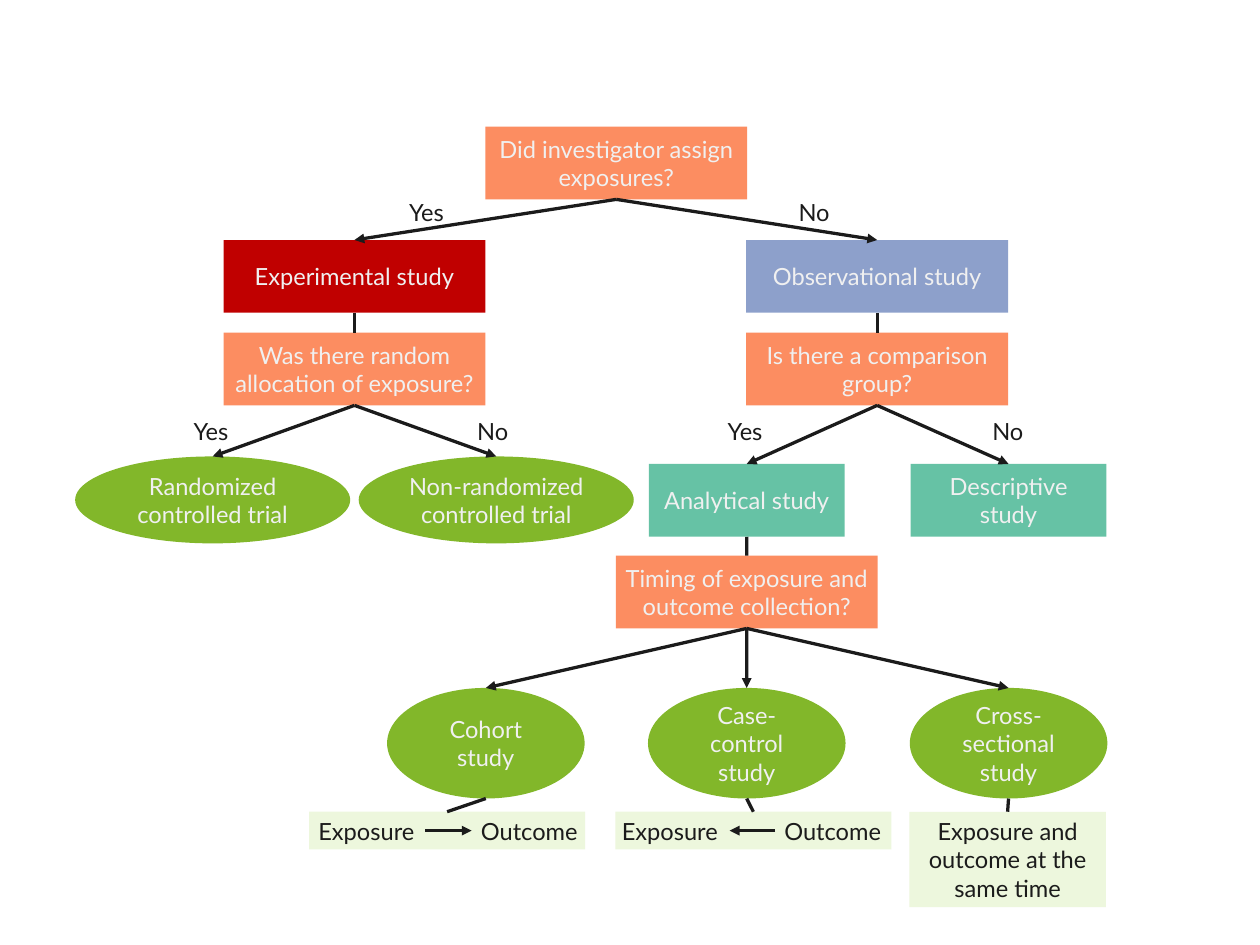
"""Decision tree for choosing an epidemiological study design."""
from dataclasses import dataclass

from lxml import etree
from pptx import Presentation
from pptx.dml.color import RGBColor
from pptx.enum import shapes as kinds, text as texts
from pptx.oxml import ns
from pptx.util import Inches, Pt

INK = RGBColor(0x1B, 0x1B, 0x1B)
PALE = RGBColor(0xF0, 0xF0, 0xF0)
ORANGE = RGBColor(0xFC, 0x8D, 0x61)
RED = RGBColor(0xC0, 0x00, 0x00)
BLUE = RGBColor(0x8D, 0xA0, 0xCB)
TEAL = RGBColor(0x66, 0xC2, 0xA5)
GREEN = RGBColor(0x82, 0xB7, 0x2A)
MINT = RGBColor(0xED, 0xF7, 0xDD)
RECTANGLE = kinds.MSO_SHAPE.RECTANGLE
OVAL = kinds.MSO_SHAPE.OVAL
TOP_SITE = 0
BOTTOM_SITE = {RECTANGLE: 2, OVAL: 4}
LEFT, MIDDLE, RIGHT = 3.75, 6.52, 9.28
COHORT, CASE, CROSS = 5.14, 7.9, 10.67
TIMING_TOP = 8.59
LABEL_HEIGHT = 0.4


@dataclass(frozen=True)
class Style:
    width: float
    height: float
    fill: RGBColor
    form: kinds.MSO_SHAPE = RECTANGLE
    ink: RGBColor = PALE


@dataclass(frozen=True)
class Node:
    key: str
    words: str
    center: float
    top: float
    style: Style


@dataclass(frozen=True)
class Link:
    source: str
    target: str
    arrow: bool = True


@dataclass(frozen=True)
class Label:
    words: str
    left: float
    top: float


QUESTION = Style(2.77, 0.77, ORANGE)
EXPERIMENT = Style(2.77, 0.77, RED)
OBSERVATION = Style(2.77, 0.77, BLUE)
BRANCH = Style(2.07, 0.77, TEAL)
TRIAL = Style(2.91, 0.92, GREEN, OVAL)
DESIGN = Style(2.09, 1.17, GREEN, OVAL)
STRIP = Style(2.92, 0.4, MINT, ink=INK)
NOTE = Style(2.08, 1.01, MINT, ink=INK)

NODES = [
    Node("assign", "Did investigator assign exposures?", MIDDLE, 1.34, QUESTION),
    Node("experimental", "Experimental study", LEFT, 2.54, EXPERIMENT),
    Node("observational", "Observational study", RIGHT, 2.54, OBSERVATION),
    Node("random", "Was there random allocation of exposure?", LEFT, 3.52, QUESTION),
    Node("comparison", "Is there a comparison group?", RIGHT, 3.52, QUESTION),
    Node("randomized", "Randomized controlled trial", 2.25, 4.83, TRIAL),
    Node("nonrandomized", "Non-randomized controlled trial", 5.25, 4.83, TRIAL),
    Node("analytical", "Analytical study", CASE, 4.91, BRANCH),
    Node("descriptive", "Descriptive study", CROSS, 4.91, BRANCH),
    Node("timing", "Timing of exposure and outcome collection?", CASE, 5.88, QUESTION),
    Node("cohort", "Cohort study", COHORT, 7.28, DESIGN),
    Node("case", "Case-control study", CASE, 7.28, DESIGN),
    Node("cross", "Cross-sectional study", CROSS, 7.28, DESIGN),
    Node("forward", "", 4.73, TIMING_TOP, STRIP),
    Node("backward", "", 7.97, TIMING_TOP, STRIP),
    Node("same", "Exposure and outcome at the same time", 10.66, TIMING_TOP, NOTE),
]
LINKS = [
    Link("assign", "experimental"),
    Link("assign", "observational"),
    Link("experimental", "random", False),
    Link("observational", "comparison", False),
    Link("random", "randomized"),
    Link("random", "nonrandomized"),
    Link("comparison", "analytical"),
    Link("comparison", "descriptive"),
    Link("analytical", "timing", False),
    Link("timing", "cohort"),
    Link("timing", "case"),
    Link("timing", "cross"),
    Link("cohort", "forward", False),
    Link("case", "backward", False),
    Link("cross", "same", False),
]
LABELS = [
    Label("Yes", 4.23, 2.04),
    Label("No", 8.35, 2.04),
    Label("Yes", 1.95, 4.36),
    Label("No", 4.95, 4.36),
    Label("Yes", 7.6, 4.36),
    Label("No", 10.4, 4.36),
    Label("Exposure", 3.27, TIMING_TOP),
    Label("Outcome", 4.99, TIMING_TOP),
    Label("Exposure", 6.48, TIMING_TOP),
    Label("Outcome", 8.2, TIMING_TOP),
]
LABEL_WIDTHS = {"Yes": 0.6, "No": 0.53, "Exposure": 1.24, "Outcome": 1.23}
TIMING_ARROWS = [(4.5, 4.99), (8.2, 7.72)]


def write(shape, words: str, ink: RGBColor, align, wrap: bool) -> None:
    frame = shape.text_frame
    layout = {"word_wrap": wrap, "vertical_anchor": texts.MSO_ANCHOR.MIDDLE}
    for name, value in layout.items():
        setattr(frame, name, value)
    para = frame.paragraphs[0]
    para.alignment = align
    span = para.add_run()
    span.text = words
    for name, value in {"name": "Lato", "size": Pt(18)}.items():
        setattr(span.font, name, value)
    span.font.color.rgb = ink


def draw_node(page, node: Node):
    style = node.style
    shape = page.shapes.add_shape(
        style.form, Inches(node.center - style.width / 2), Inches(node.top),
        Inches(style.width), Inches(style.height))
    shape.shadow.inherit = False
    shape.fill.solid()
    shape.fill.fore_color.rgb = style.fill
    shape.line.fill.background()
    if node.words:
        write(shape, node.words, style.ink, texts.PP_ALIGN.CENTER, True)
    return shape


def draw_line(page, arrow: bool, start: float = 0, end: float = 0, height: float = 0):
    line = page.shapes.add_connector(
        kinds.MSO_CONNECTOR.STRAIGHT, Inches(start), Inches(height),
        Inches(end), Inches(height))
    line.line.color.rgb = INK
    line.line.width = Pt(2.5)
    properties = line._element.spPr
    if arrow:
        etree.SubElement(properties.find(ns.qn("a:ln")), ns.qn("a:tailEnd"), type="triangle")
    etree.SubElement(properties, ns.qn("a:effectLst"))
    return line


def join(page, source, target, arrow: bool) -> None:
    line = draw_line(page, arrow)
    line.begin_connect(source, TOP_SITE)
    line.end_connect(target, TOP_SITE)
    start = next(line._element.iter(ns.qn("a:stCxn")))
    start.set("idx", str(BOTTOM_SITE[source.auto_shape_type]))
    line.begin_y = source.top + source.height


def draw_label(page, label: Label) -> None:
    box = page.shapes.add_textbox(
        Inches(label.left), Inches(label.top),
        Inches(LABEL_WIDTHS[label.words]), Inches(LABEL_HEIGHT))
    write(box, label.words, INK, texts.PP_ALIGN.LEFT, False)


def main() -> None:
    deck = Presentation()
    deck.slide_width, deck.slide_height = Inches(13.33), Inches(10)
    page = deck.slides.add_slide(deck.slide_layouts[6])
    drawn = {node.key: draw_node(page, node) for node in NODES}
    for link in LINKS:
        join(page, drawn[link.source], drawn[link.target], link.arrow)
    for label in LABELS:
        draw_label(page, label)
    for start, end in TIMING_ARROWS:
        draw_line(page, True, start, end, TIMING_TOP + LABEL_HEIGHT / 2)
    deck.save("out.pptx")


main()
